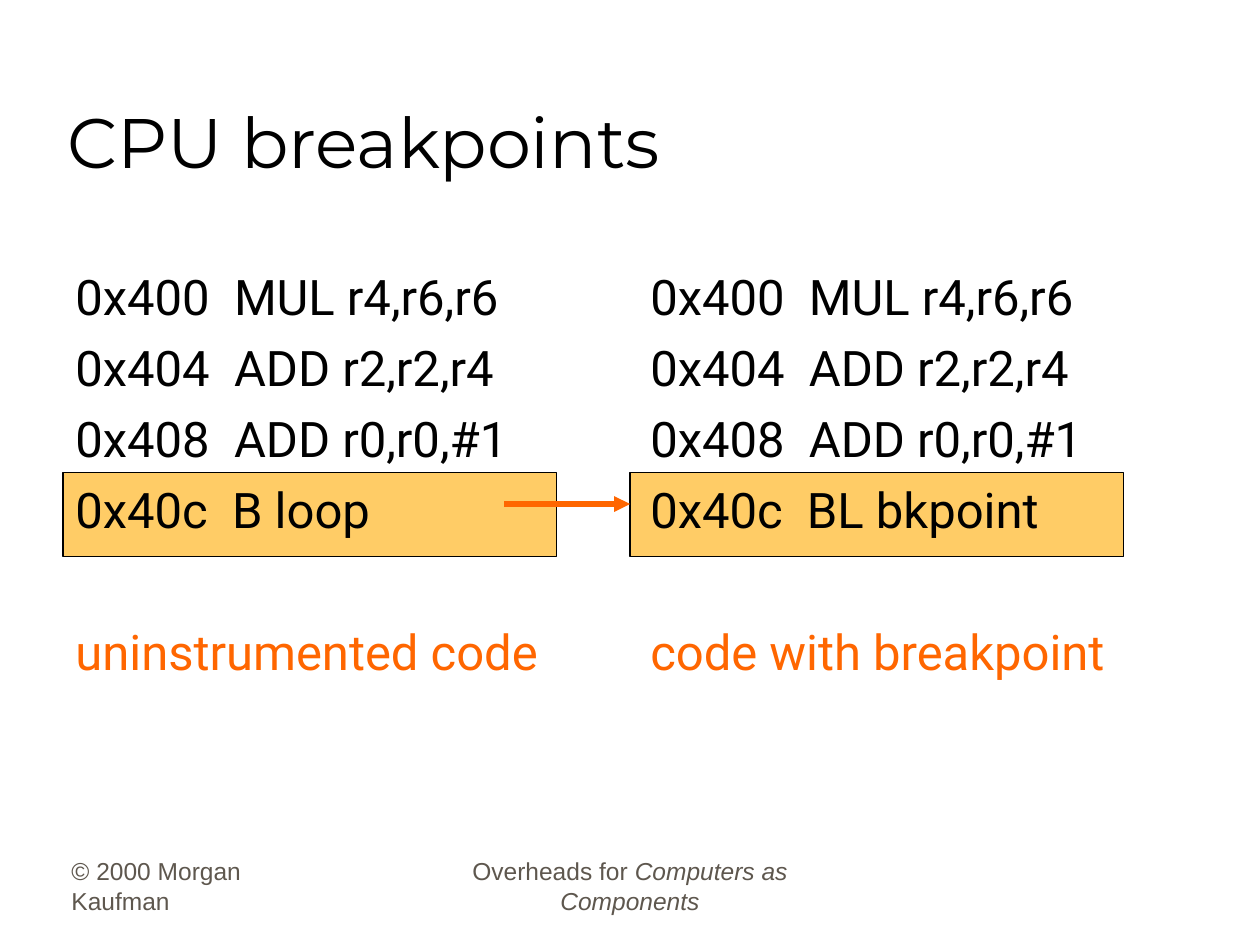
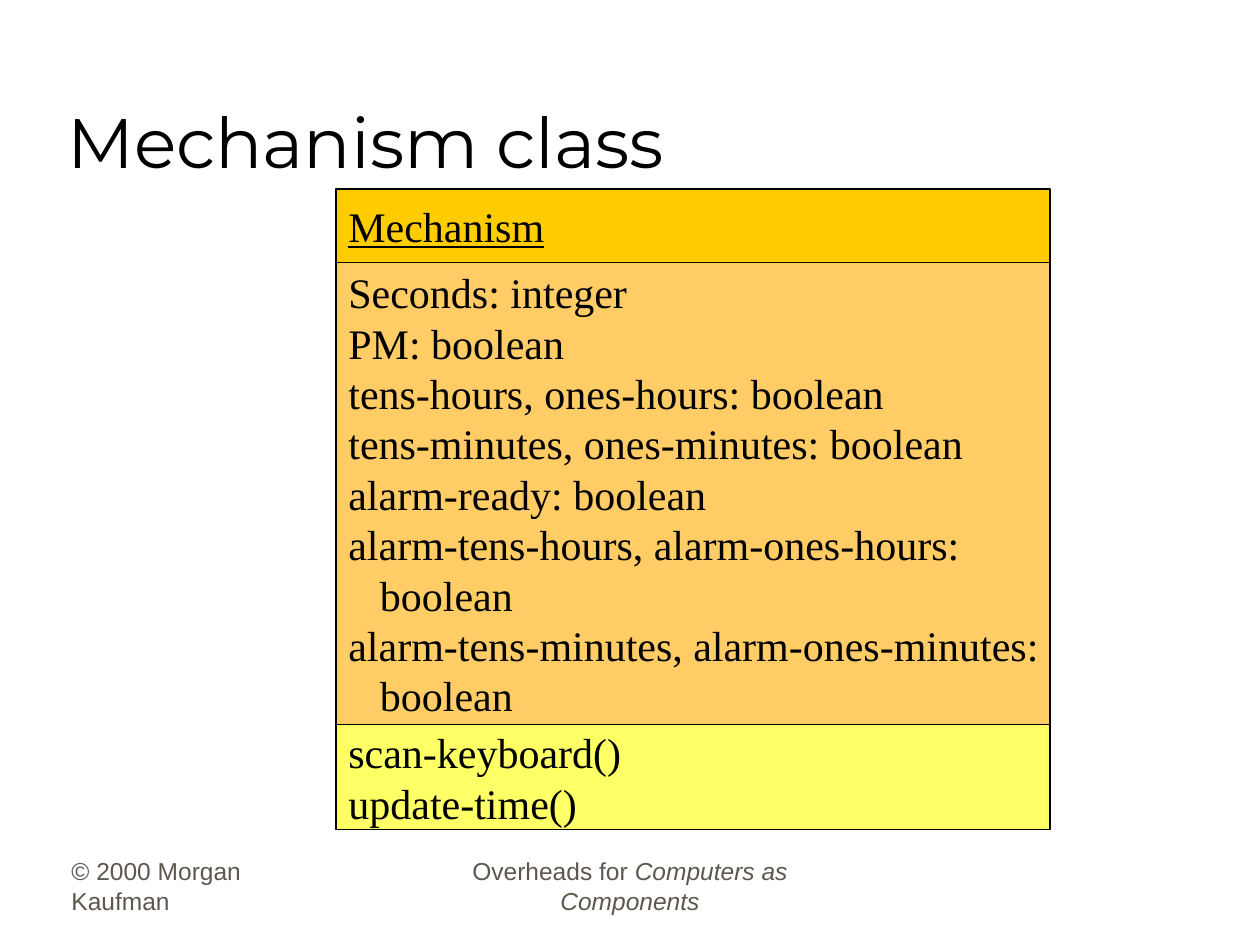
from dataclasses import dataclass
from typing import NamedTuple

import pptx
import pptx.dml.color
import pptx.enum.shapes
import pptx.enum.text
import pptx.oxml
import pptx.oxml.ns
import pptx.util

EMU_PER_PX = 9525  # 96 px to the inch
ANCHOR = pptx.enum.text.MSO_ANCHOR
ALIGN = pptx.enum.text.PP_ALIGN


class Style(NamedTuple):
    font: str
    size: int
    color: str
    italic: bool = False
    underline: bool = False


# Theme: colours and type sizes
@dataclass(frozen=True)
class Theme:
    line: str = "000000"
    accent: str = "FF6600"
    highlight: str = "FFCC66"
    class_name: str = "FFCC00"
    operations: str = "FFFF66"
    title: Style = Style("Montserrat", 40, "000000")
    code: Style = Style("Roboto", 28, "000000")
    caption: Style = Style("Roboto", 28, "FF6600")
    footer: Style = Style("Arial", 14, "5E574E")
    book: Style = Style("Arial", 14, "5E574E", italic=True)
    member: Style = Style("Times New Roman", 24, "000000")
    heading: Style = Style("Times New Roman", 24, "000000", underline=True)


THEME = Theme()


class Box(NamedTuple):
    left: int
    top: int
    width: int
    height: int


class Run(NamedTuple):
    text: str
    style: Style


class Para(NamedTuple):
    runs: list[Run]
    align: ALIGN = ALIGN.LEFT
    before: float = 0
    indent: int = 0


class CodePanel(NamedTuple):
    highlight_left: int
    text_left: int
    branch: str
    caption: str


class Compartment(NamedTuple):
    height: int
    fill: str
    paras: list[Para]


# Drawing helpers
def px(n: int) -> pptx.util.Emu:
    return pptx.util.Emu(n * EMU_PER_PX)


def rgb(color: str) -> pptx.dml.color.RGBColor:
    return pptx.dml.color.RGBColor.from_string(color)


def write(tf, paras: list[Para], anchor: ANCHOR, wrap: bool = True) -> None:
    tf.word_wrap = wrap
    tf.vertical_anchor = anchor
    for i, para in enumerate(paras):
        p = tf.add_paragraph() if i else tf.paragraphs[0]
        p.alignment = para.align
        p.space_before = pptx.util.Pt(para.before)
        if para.indent:
            p._p.get_or_add_pPr().set("marL", str(px(para.indent)))
        for run in para.runs:
            r = p.add_run()
            r.text = run.text
            r.font.name = run.style.font
            r.font.size = pptx.util.Pt(run.style.size)
            r.font.color.rgb = rgb(run.style.color)
            r.font.italic = run.style.italic
            r.font.underline = run.style.underline


def add_text(s, box: Box, paras: list[Para], anchor: ANCHOR = ANCHOR.BOTTOM) -> None:
    sp = s.shapes.add_textbox(*map(px, box))
    write(sp.text_frame, paras, anchor)


def add_rect(s, box: Box, fill: str):
    sp = s.shapes.add_shape(pptx.enum.shapes.MSO_SHAPE.RECTANGLE, *map(px, box))
    sp.shadow.inherit = False
    sp.fill.solid()
    sp.fill.fore_color.rgb = rgb(fill)
    sp.line.color.rgb = rgb(THEME.line)
    sp.line.width = pptx.util.Pt(0.75)
    return sp


def add_arrow(s, x1: int, y1: int, x2: int, y2: int) -> None:
    kind = pptx.enum.shapes.MSO_CONNECTOR.STRAIGHT
    sp = s.shapes.add_connector(kind, px(x1), px(y1), px(x2), px(y2))
    sp.line.color.rgb = rgb(THEME.accent)
    sp.line.width = pptx.util.Pt(3)
    ns = pptx.oxml.ns.nsdecls("a")
    spPr = sp._element.spPr
    ln = spPr.find(pptx.oxml.ns.qn("a:ln"))
    ln.append(pptx.oxml.parse_xml(f'<a:tailEnd {ns} type="triangle"/>'))
    spPr.append(pptx.oxml.parse_xml(f"<a:effectLst {ns}/>"))


# Shared slide: title and footers
def add_slide(prs, title: str):
    s = prs.slides.add_slide(prs.slide_layouts[6])
    add_text(s, Box(45, 654, 200, 48), [Para([Run("© 2000 Morgan Kaufman", THEME.footer)])])
    add_text(s, Box(328, 654, 304, 48), [Para(
        [Run("Overheads for ", THEME.footer), Run("Computers as Components", THEME.book)],
        ALIGN.CENTER)])
    add_text(s, Box(42, 24, 816, 120), [Para([Run(title, THEME.title)])])
    return s


# Slide 1: code before and after the breakpoint
SHARED_CODE = ["0x400  MUL r4,r6,r6", "0x404  ADD r2,r2,r4", "0x408  ADD r0,r0,#1"]
PANELS = [
    CodePanel(48, 48, "0x40c  B loop", "uninstrumented code"),
    CodePanel(480, 486, "0x40c  BL bkpoint", "code with breakpoint"),
]


def breakpoints_slide(prs) -> None:
    s = add_slide(prs, "CPU breakpoints")
    for panel in PANELS:
        add_rect(s, Box(panel.highlight_left, 360, 376, 64), THEME.highlight)
    add_arrow(s, 384, 384, 480, 384)
    for panel in PANELS:
        paras = [Para([Run(line, THEME.code)], before=7 if i else 0)
                 for i, line in enumerate([*SHARED_CODE, panel.branch])]
        paras.append(Para([Run(panel.caption, THEME.caption)], before=47.6))
        add_text(s, Box(panel.text_left, 198, 421, 438), paras, ANCHOR.TOP)


# Slide 2: class box with name, attributes and operations
def member(text: str, indent: int = 0) -> Para:
    return Para([Run(text, THEME.member)], indent=indent)


TYPE_INDENT = 24
COMPARTMENTS = [
    Compartment(56, THEME.class_name, [Para([Run("Mechanism", THEME.heading)])]),
    Compartment(352, THEME.highlight, [
        member("Seconds: integer"),
        member("PM: boolean"),
        member("tens-hours, ones-hours: boolean"),
        member("tens-minutes, ones-minutes: boolean"),
        member("alarm-ready: boolean"),
        member("alarm-tens-hours, alarm-ones-hours:"),
        member("boolean", TYPE_INDENT),
        member("alarm-tens-minutes, alarm-ones-minutes:"),
        member("boolean", TYPE_INDENT),
    ]),
    Compartment(80, THEME.operations, [member("scan-keyboard()"), member("update-time()")]),
]


def mechanism_slide(prs) -> None:
    s = add_slide(prs, "Mechanism class")
    top = 144
    for part in COMPARTMENTS:
        sp = add_rect(s, Box(256, top, 544, part.height), part.fill)
        write(sp.text_frame, part.paras, ANCHOR.MIDDLE, wrap=False)
        top += part.height


def main() -> None:
    prs = pptx.Presentation()
    prs.slide_width, prs.slide_height = px(960), px(720)
    breakpoints_slide(prs)
    mechanism_slide(prs)
    prs.save("out.pptx")


if __name__ == "__main__":
    main()
